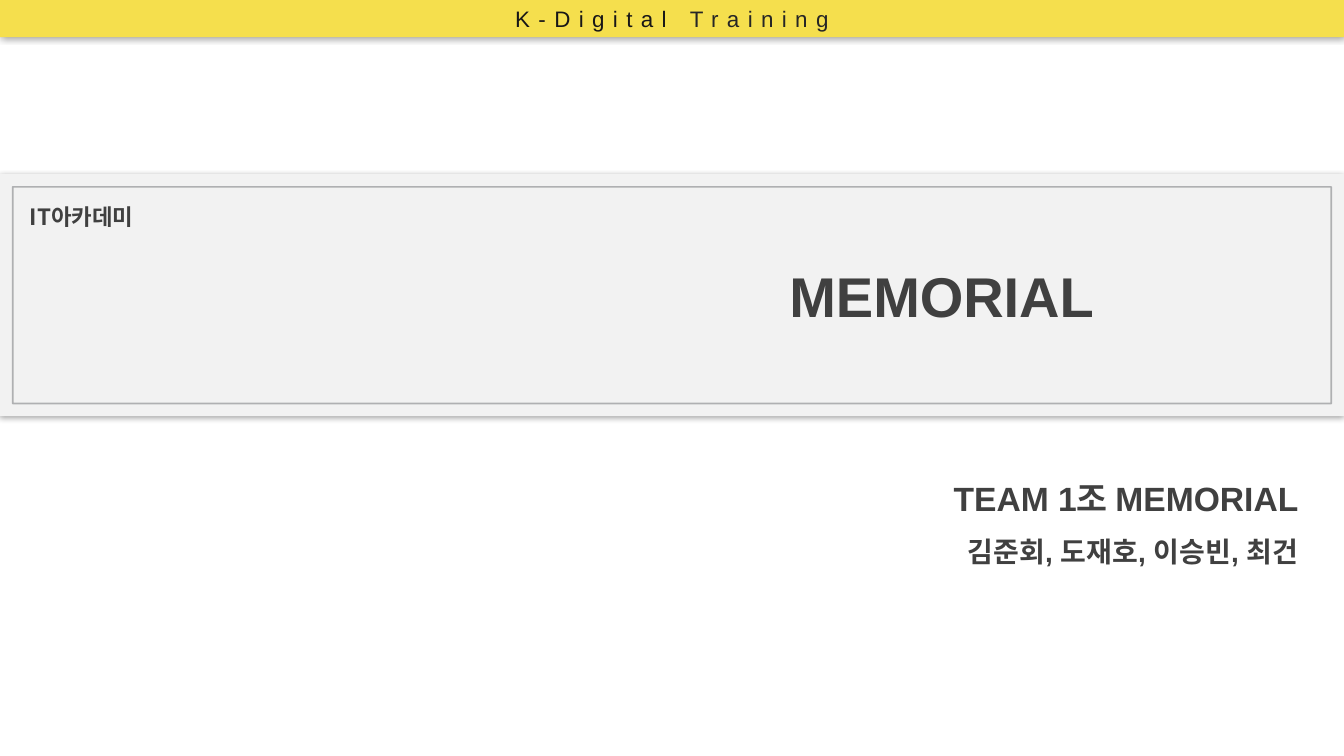
from dataclasses import dataclass

from lxml import etree
from pptx import Presentation
from pptx.dml.color import RGBColor
from pptx.enum.shapes import MSO_SHAPE
from pptx.enum.text import MSO_ANCHOR, MSO_AUTO_SIZE, PP_ALIGN
from pptx.oxml.ns import qn
from pptx.util import Cm, Pt

RECTANGLE = MSO_SHAPE.RECTANGLE
MIDDLE = MSO_ANCHOR.MIDDLE
NO_AUTOFIT = MSO_AUTO_SIZE.NONE
LEFT, CENTER, RIGHT = PP_ALIGN.LEFT, PP_ALIGN.CENTER, PP_ALIGN.RIGHT
TITLE_ONLY = 5
PAGE_WIDTH, PAGE_HEIGHT = 33.87, 19.05


@dataclass(frozen=True)
class Theme:
    yellow: str = "F5DF4D"
    pale: str = "F2F2F2"
    outline: str = "939597"
    ink: str = "404040"
    bar_dark: str = "181717"
    bar_light: str = "262626"
    latin: str = "Arial"
    korean: str = "Noto Sans CJK KR"
    title: int = 40
    team: int = 24
    members: int = 20
    small: int = 16


THEME = Theme()


def rgb(value):
    return RGBColor.from_string(value)


def style_paragraph(para, size, align, face=THEME.latin, bold=True):
    para.alignment = align
    font = para.font
    font.size, font.bold, font.name = Pt(size), bold, face
    font.color.rgb = rgb(THEME.ink)
    properties = para._p.pPr.find(qn("a:defRPr"))
    east_asian = etree.Element(qn("a:ea"), typeface=THEME.korean)
    properties.find(qn("a:latin")).addnext(east_asian)


def add_panel(page, left, top, width, height, fill):
    """Borderless rectangle with a soft shadow all round."""
    panel = page.shapes.add_shape(RECTANGLE, Cm(left), Cm(top), Cm(width), Cm(height))
    panel.fill.solid()
    panel.fill.fore_color.rgb = rgb(fill)
    panel.line.fill.background()
    panel.shadow.inherit = False
    effects = panel._element.spPr.find(qn("a:effectLst"))
    shadow = etree.SubElement(effects, qn("a:outerShdw"), blurRad=str(Pt(5)),
                              dist="0", dir="0", algn="ctr", rotWithShape="0")
    color = etree.SubElement(shadow, qn("a:srgbClr"), val="000000")
    etree.SubElement(color, qn("a:alpha"), val="40000")
    return panel


def add_text(page, left, top, width, height):
    box = page.shapes.add_textbox(Cm(left), Cm(top), Cm(width), Cm(height))
    box.text_frame.word_wrap = True
    return box.text_frame


def add_team(page, left, top, width, height):
    frame = add_text(page, left, top, width, height)
    frame.margin_top = frame.margin_bottom = 0
    lines = [("TEAM 1조 MEMORIAL", THEME.team),
             ("김준회, 도재호, 이승빈, 최건", THEME.members)]
    frame.text = "\n".join(words for words, _ in lines)
    for para, (_, size) in zip(frame.paragraphs, lines):
        para.line_spacing = 1.5
        style_paragraph(para, size, RIGHT)


def add_title_band(page, left, top, width, height):
    add_panel(page, left, top, width, height, THEME.pale)

    # Academy label
    label = add_text(page, left + 0.5, top + 0.61, 7.32, 0.94)
    label.text = "IT아카데미"
    style_paragraph(label.paragraphs[0], THEME.small, LEFT, THEME.korean)

    # Title, brought in front of the band
    title = page.shapes.title
    title.left, title.top = Cm(left + 14.33), Cm(top + 2.19)
    title.width, title.height = Cm(18.8), Cm(1.7)
    page.shapes._spTree.append(title._element)
    frame = title.text_frame
    frame.text = "MEMORIAL"
    frame.auto_size, frame.word_wrap = NO_AUTOFIT, True
    frame.vertical_anchor = MIDDLE
    frame.margin_top = frame.margin_bottom = 0
    style_paragraph(frame.paragraphs[0], THEME.title, CENTER)

    # Inner outline
    inset = 0.32
    outline = page.shapes.add_shape(
        RECTANGLE, Cm(left + inset), Cm(top + inset),
        Cm(width - 2 * inset), Cm(height - 2 * inset))
    outline.fill.background()
    outline.line.color.rgb = rgb(THEME.outline)
    outline.line.width = Pt(1.25)
    outline.shadow.inherit = False
    color = outline._element.spPr.find(".//" + qn("a:srgbClr"))
    etree.SubElement(color, qn("a:alpha"), val="70000")


def add_top_bar(page, left, top, width, height):
    frame = add_panel(page, left, top, width, height, THEME.yellow).text_frame
    frame.vertical_anchor = MIDDLE
    para = frame.paragraphs[0]
    style_paragraph(para, THEME.small, CENTER, bold=False)
    for words, color in [("K-Digital ", THEME.bar_dark), ("Training", THEME.bar_light)]:
        span = para.add_run()
        span.text = words
        span.font.color.rgb = rgb(color)
        span._r.get_or_add_rPr().set("spc", "600")


def main():
    deck = Presentation()
    deck.slide_width, deck.slide_height = Cm(PAGE_WIDTH), Cm(PAGE_HEIGHT)
    page = deck.slides.add_slide(deck.slide_layouts[TITLE_ONLY])
    add_team(page, 18.64, 11.53, 14.33, 2.82)
    add_title_band(page, 0, 4.39, PAGE_WIDTH, 6.1)
    add_top_bar(page, 0, 0, PAGE_WIDTH, 0.94)
    deck.save("out.pptx")


if __name__ == "__main__":
    main()
